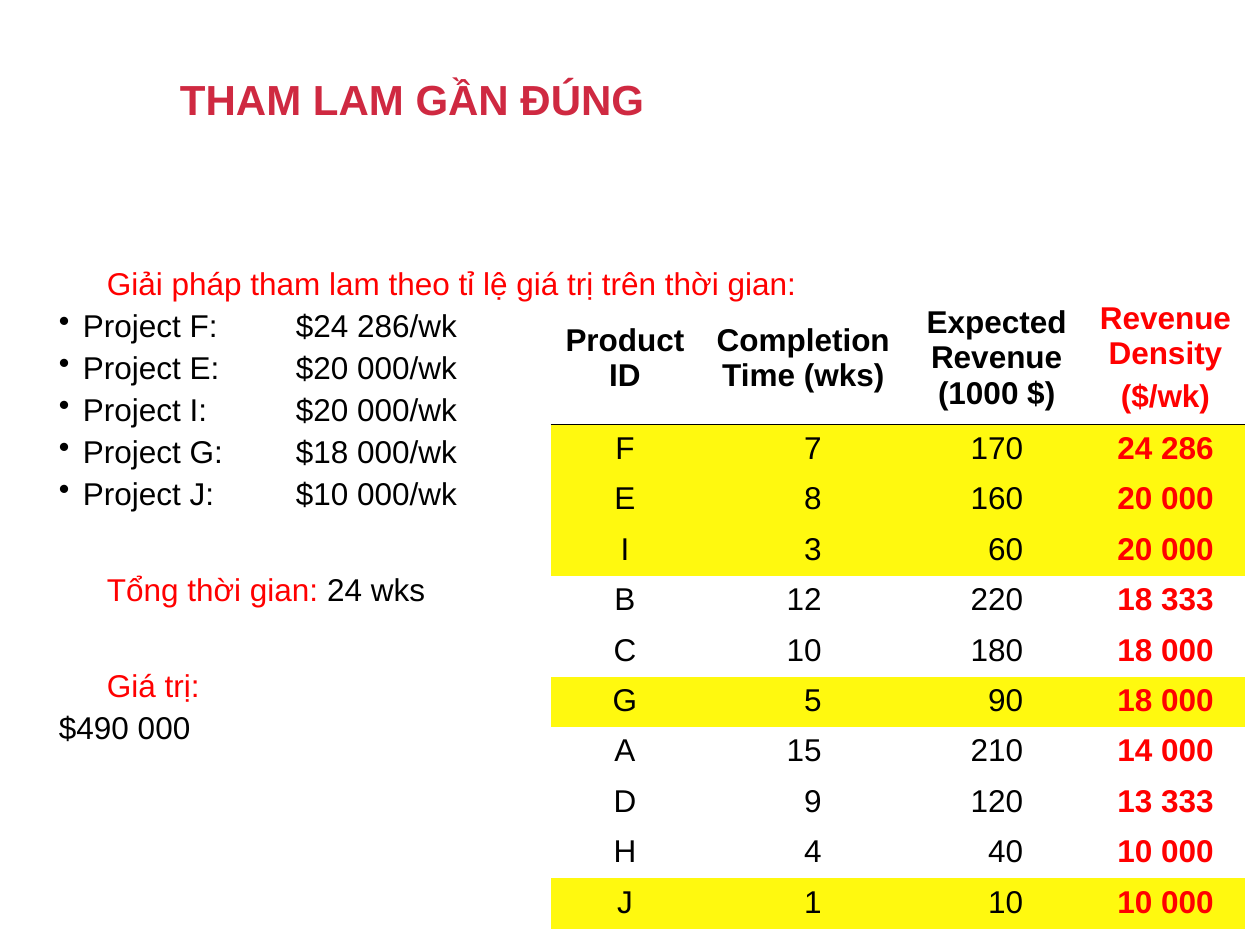
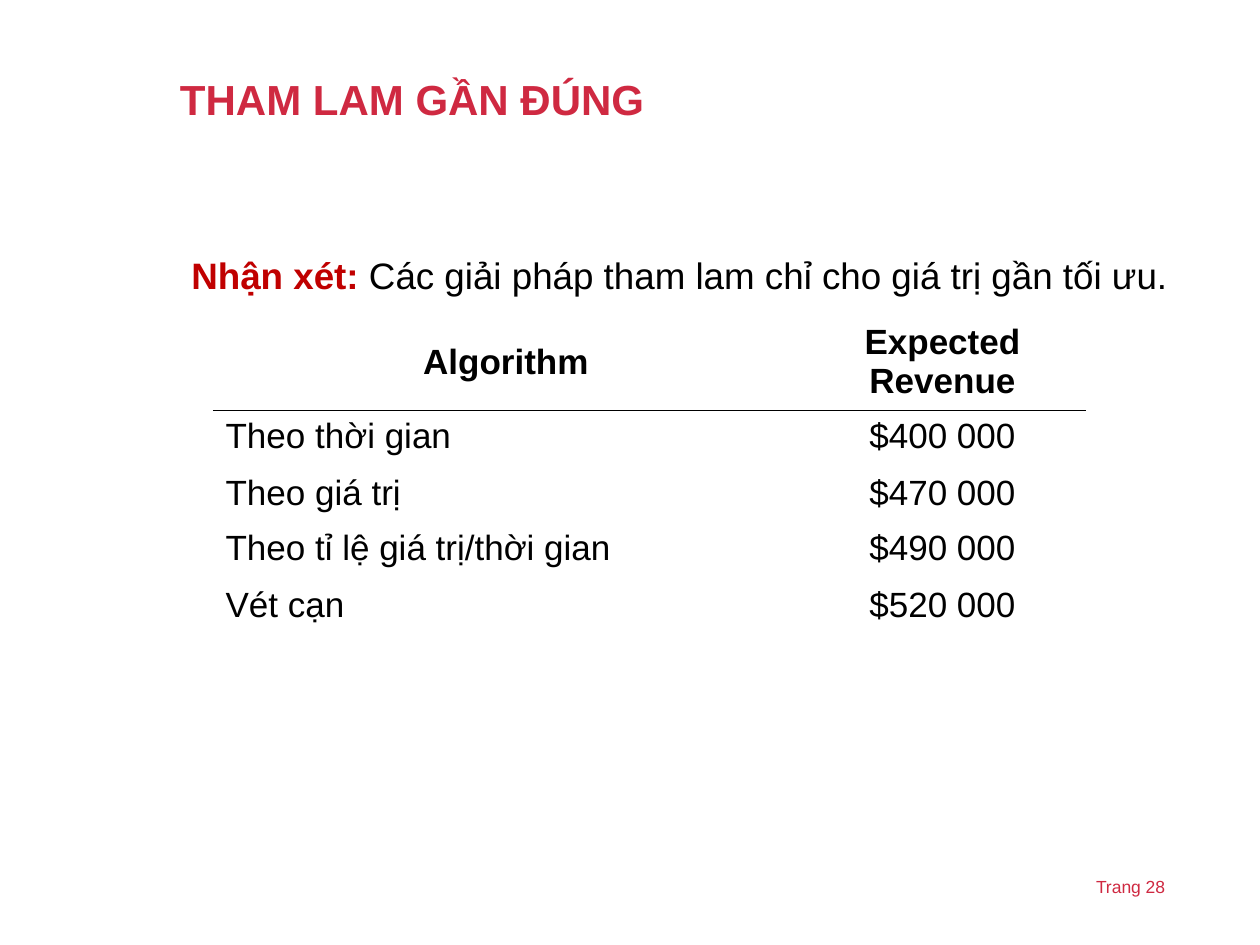
from lxml.etree import SubElement
from pptx import Presentation
from pptx.dml.color import RGBColor
from pptx.enum.text import MSO_ANCHOR as Anchor, PP_ALIGN as Align
from pptx.oxml.ns import qn
from pptx.util import Inches, Pt

FONT = "Arial"
COLORS = {
    "title": "CF2941",
    "black": "000000",
    "red": "FF0000",
    "dark_red": "C00000",
    "yellow": "FFF90F",
    "white": "FFFFFF",
}
TITLE = "THAM LAM GẦN ĐÚNG"
PLAIN_TABLE = "{2D5ABB26-0587-4C30-8999-92F81FD0307C}"
LINE_SPACING = 0.9
HEADING_INDENT = 0.75
BULLET_INDENT, BULLET_HANG = 0.56, 0.19
RATE_TAB = 2.25
BLOCK_GAP = 35.5

PROJECT_HEADER = ["Product ID", "Completion Time (wks)",
                  "Expected Revenue (1000 $)", "Revenue Density\n($/wk)"]
PROJECTS = [
    ("F", 7, 170, "24 286"),
    ("E", 8, 160, "20 000"),
    ("I", 3, 60, "20 000"),
    ("B", 12, 220, "18 333"),
    ("C", 10, 180, "18 000"),
    ("G", 5, 90, "18 000"),
    ("A", 15, 210, "14 000"),
    ("D", 9, 120, "13 333"),
    ("H", 4, 40, "10 000"),
    ("J", 1, 10, "10 000"),
]
CHOSEN = "FEIGJ"
CHOSEN_RATES = [("F", "24 286"), ("E", "20 000"), ("I", "20 000"),
                ("G", "18 000"), ("J", "10 000")]
NUMBER_MARGINS = {1: 0.68, 2: 0.5}

ALGORITHMS = [
    ("Algorithm", "Expected Revenue"),
    ("Theo thời gian", "$400 000"),
    ("Theo giá trị", "$470 000"),
    ("Theo tỉ lệ giá trị/thời gian", "$490 000"),
    ("Vét cạn", "$520 000"),
]


def rgb(name):
    """Return the named colour."""
    return RGBColor.from_string(COLORS[name])


def style_span(span, size, color="black", bold=False):
    """Format one run."""
    span.font.name = FONT
    span.font.size = Pt(size)
    span.font.bold = bold
    span.font.color.rgb = rgb(color)


def add_box(page, left, top, width, height, anchor=Anchor.TOP):
    """Add a wrapping text box and return its text frame."""
    box = page.shapes.add_textbox(Inches(left), Inches(top), Inches(width), Inches(height))
    frame = box.text_frame
    frame.word_wrap = True
    frame.vertical_anchor = anchor
    return frame


def write_para(para, spans, size, gap=0, indent=0, hang=0):
    """Fill a paragraph with (text, colour, bold) spans and set its spacing and indent."""
    for text, color, bold in spans:
        span = para.add_run()
        span.text = text
        style_span(span, size, color, bold)
    para.line_spacing = LINE_SPACING
    para.space_before = Pt(gap)
    props = para._p.get_or_add_pPr()
    props.set("marL", str(Inches(indent)))
    props.set("indent", str(-Inches(hang)))


def add_bullet(para, tab):
    """Give a paragraph a bullet and one left tab stop."""
    props = para._p.get_or_add_pPr()
    SubElement(props, qn("a:buChar"), char="•")
    stops = SubElement(props, qn("a:tabLst"))
    SubElement(stops, qn("a:tab"), pos=str(Inches(tab)), algn="l")


def add_title(page):
    """Add the shared slide title."""
    frame = add_box(page, 1.33, 0.4, 7.98, 0.82, Anchor.MIDDLE)
    write_para(frame.paragraphs[0], [(TITLE, "title", True)], 24)


def add_page_number(page, number):
    """Add the page number at the lower right."""
    frame = add_box(page, 8.6, 6.9, 1.21, 0.27)
    frame.text = f"Trang {number}"
    style_span(frame.paragraphs[0].runs[0], 10, "title")


def add_grid(page, left, top, widths, heights):
    """Add an unstyled table with the given column widths and row heights."""
    frame = page.shapes.add_table(len(heights), len(widths), Inches(left), Inches(top),
                                  Inches(sum(widths)), Inches(sum(heights)))
    next(frame.element.iter(qn("a:tableStyleId"))).text = PLAIN_TABLE
    table = frame.table
    table.first_row = table.horz_banding = False
    for column, width in zip(table.columns, widths):
        column.width = Inches(width)
    for row, height in zip(table.rows, heights):
        row.height = Inches(height)
    return table


def fill_cell(cell, text, size, gap, color="black", bold=False, align=Align.CENTER, fill=None):
    """Write and format one table cell."""
    cell.text_frame.text = str(text)
    for para in cell.text_frame.paragraphs:
        para.alignment = align
        para.space_before = Pt(gap)
        style_span(para.runs[0], size, color, bold)
    if fill:
        cell.fill.solid()
        cell.fill.fore_color.rgb = rgb(fill)
    else:
        cell.fill.background()


def fill_header_cell(cell, text, size, gap, color="black"):
    """Write a bold header cell with a thin rule under it."""
    fill_cell(cell, text, size, gap, color, True)
    cell.vertical_anchor = Anchor.MIDDLE
    props = cell._tc.get_or_add_tcPr()
    rule = SubElement(props, qn("a:lnB"), w=str(Pt(0.45)))
    paint = SubElement(rule, qn("a:solidFill"))
    SubElement(paint, qn("a:srgbClr"), val=COLORS["black"])
    props.insert(0, rule)


def add_project_table(page):
    """Add the projects sorted by revenue density, with the chosen ones highlighted."""
    table = add_grid(page, 4.37, 2.31, [1.18, 1.65, 1.42, 1.26], [1.06] + [0.4] * len(PROJECTS))
    density = len(PROJECT_HEADER) - 1
    for col, text in enumerate(PROJECT_HEADER):
        fill_header_cell(table.cell(0, col), text, 18, 4.5, "red" if col == density else "black")
    for row, project in enumerate(PROJECTS, 1):
        fill = "yellow" if project[0] in CHOSEN else "white"
        for col, value in enumerate(project):
            cell = table.cell(row, col)
            is_density = col == density
            align = Align.RIGHT if col in NUMBER_MARGINS else Align.CENTER
            fill_cell(cell, value, 18, 4.5, "red" if is_density else "black",
                      is_density, align, fill)
            cell.margin_right = Inches(NUMBER_MARGINS.get(col, 0.1))


def add_greedy_solution(page):
    """Add the chosen projects with their total time and value."""
    frame = add_box(page, 0, 2.08, 9.04, 5.08)
    heading = "Giải pháp tham lam theo tỉ lệ giá trị trên thời gian:"
    write_para(frame.paragraphs[0], [(heading, "red", False)], 18, indent=HEADING_INDENT)
    for project, rate in CHOSEN_RATES:
        para = frame.add_paragraph()
        write_para(para, [(f"Project {project}:\t${rate}/wk", "black", False)], 18, 4.5,
                   BULLET_INDENT, BULLET_HANG)
        add_bullet(para, RATE_TAB)
    total = [("Tổng thời gian: ", "red", False), ("24 wks", "black", False)]
    write_para(frame.add_paragraph(), total, 18, BLOCK_GAP, HEADING_INDENT)
    write_para(frame.add_paragraph(), [("Giá trị:", "red", False)], 18, BLOCK_GAP, HEADING_INDENT)
    write_para(frame.add_paragraph(), [("$490 000", "black", False)], 18, 4.5,
               BULLET_INDENT, BULLET_HANG)


def add_remark(page):
    """Add the remark on greedy solutions."""
    frame = add_box(page, 0.67, 2, 8.92, 4.76)
    remark = [("Nhận xét: ", "dark_red", True),
              ("Các giải pháp tham lam chỉ cho giá trị gần tối ưu.", "black", False)]
    write_para(frame.paragraphs[0], remark, 21, indent=HEADING_INDENT)


def add_algorithm_table(page):
    """Add the comparison of algorithms by expected revenue."""
    table = add_grid(page, 1.69, 2.49, [4.65, 2.28], [0.77, 0.45, 0.44, 0.45, 0.43])
    for row, values in enumerate(ALGORITHMS):
        for col, text in enumerate(values):
            cell = table.cell(row, col)
            if row == 0:
                fill_header_cell(cell, text, 20, 5)
            else:
                fill_cell(cell, text, 20, 5, align=Align.CENTER if col else Align.LEFT)


def add_page(deck):
    """Add a blank slide."""
    return deck.slides.add_slide(deck.slide_layouts[6])


def main():
    """Build and save the deck."""
    deck = Presentation()
    deck.slide_width, deck.slide_height = Inches(10), Inches(7.5)

    page = add_page(deck)
    add_project_table(page)
    add_title(page)
    add_greedy_solution(page)

    page = add_page(deck)
    add_page_number(page, 28)
    add_title(page)
    add_remark(page)
    add_algorithm_table(page)

    deck.save("out.pptx")


if __name__ == "__main__":
    main()
